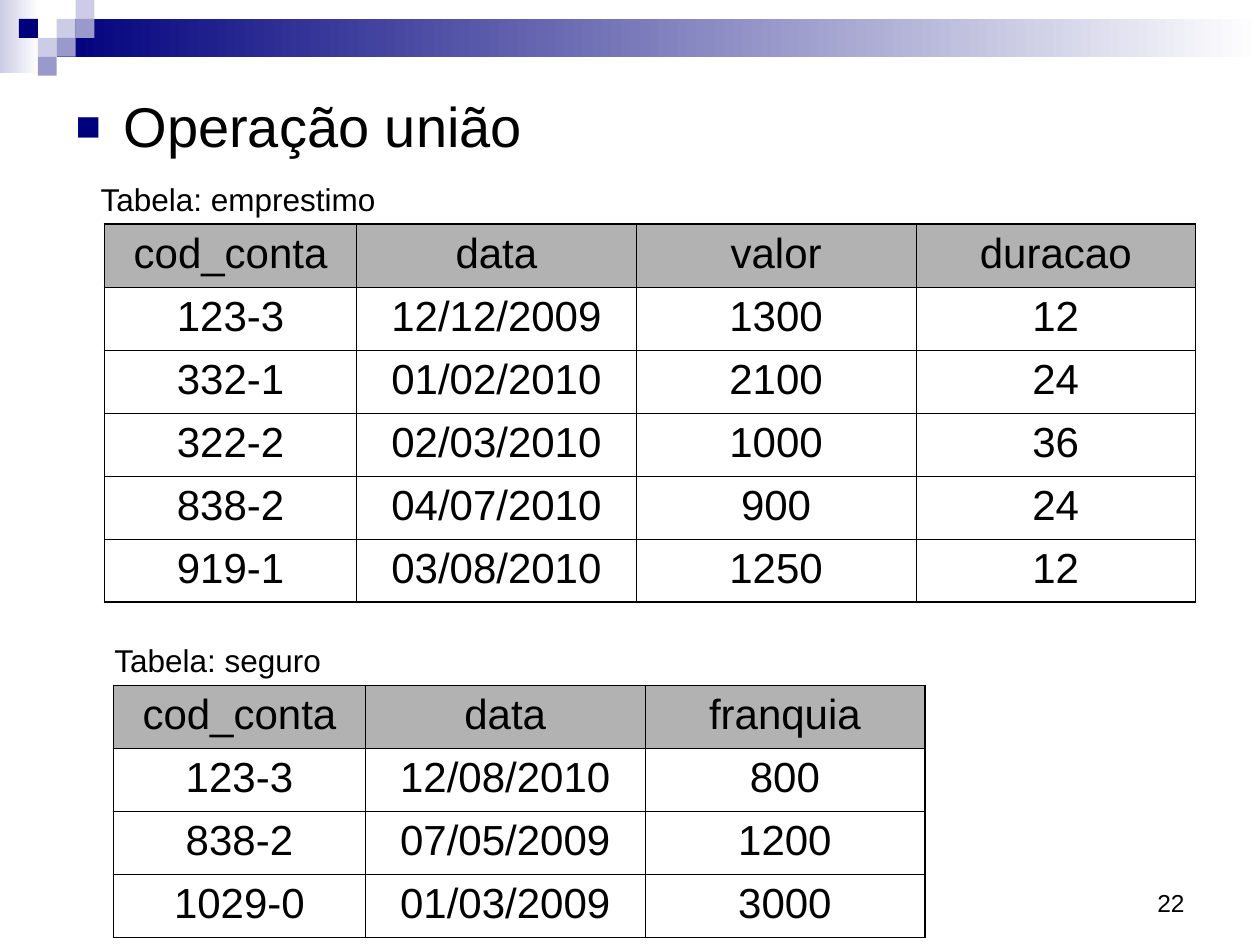
from dataclasses import dataclass

from lxml.etree import SubElement
from pptx import Presentation
from pptx.dml.color import RGBColor
from pptx.enum.shapes import MSO_SHAPE
from pptx.enum.text import MSO_ANCHOR, PP_ALIGN
from pptx.oxml import parse_xml
from pptx.oxml.ns import nsdecls, qn
from pptx.util import Inches, Pt

NAVY, LILAC, MID = "00007D", "CCCCE6", "9999CC"
WHITE, GRAY, BLACK = "FFFFFF", "B2B2B2", "000000"
STEP = 0.15
ROW = 0.5
THIN, THICK = 0.45, 1.08


@dataclass
class Box:
    left: float
    top: float
    width: float
    height: float

    def emu(self) -> list:
        return [Inches(n) for n in (self.left, self.top, self.width, self.height)]


@dataclass
class Tile:
    col: int
    row: int
    hue: str


@dataclass
class Grid:
    left: float
    top: float
    cols: list[float]
    rows: list[str]


@dataclass
class Label:
    text: str
    box: Box
    size: int
    align: PP_ALIGN = PP_ALIGN.LEFT
    anchor: MSO_ANCHOR = MSO_ANCHOR.TOP
    wrap: bool = False


def color(hue: str) -> RGBColor:
    return RGBColor.from_string(hue)


def style(para, size: int) -> None:
    for run in para.runs:
        run.font.name = "Arial"
        run.font.size = Pt(size)
        run.font.color.rgb = color(BLACK)


def draw_rect(slide, box: Box, *hues: str) -> None:
    rect = slide.shapes.add_shape(MSO_SHAPE.RECTANGLE, *box.emu())
    rect.shadow.inherit = False
    rect.line.fill.background()
    if len(hues) == 1:
        rect.fill.solid()
        rect.fill.fore_color.rgb = color(hues[0])
        return
    rect.fill.gradient()
    rect.fill.gradient_angle = 0
    for spot, (stop, hue) in enumerate(zip(rect.fill.gradient_stops, hues)):
        stop.position = spot
        stop.color.rgb = color(hue)


def draw_label(slide, label: Label) -> None:
    frame = slide.shapes.add_textbox(*label.box.emu()).text_frame
    frame.word_wrap = label.wrap
    frame.vertical_anchor = label.anchor
    frame.text = label.text
    para = frame.paragraphs[0]
    para.alignment = label.align
    style(para, label.size)


def draw_edges(cell, outer: dict[str, bool]) -> None:
    props = cell._tc.get_or_add_tcPr()
    for spot, (side, edge) in enumerate(outer.items()):
        width = Pt(THICK if edge else THIN)
        line = parse_xml(
            f'<a:ln{side} {nsdecls("a")} w="{width}"><a:solidFill>'
            f'<a:srgbClr val="{BLACK}"/></a:solidFill></a:ln{side}>'
        )
        props.insert(spot, line)


def draw_grid(slide, grid: Grid) -> None:
    rows, cols = len(grid.rows), len(grid.cols)
    box = Box(grid.left, grid.top, sum(grid.cols), rows * ROW)
    table = slide.shapes.add_table(rows, cols, *box.emu()).table
    table.first_row = table.horz_banding = False
    for col, width in zip(table.columns, grid.cols):
        col.width = Inches(width)
    for r, line in enumerate(grid.rows):
        table.rows[r].height = Inches(ROW)
        for c, text in enumerate(line.split()):
            cell = table.cell(r, c)
            cell.text_frame.text = text
            para = cell.text_frame.paragraphs[0]
            para.alignment = PP_ALIGN.CENTER
            para.space_before = Pt(6)
            style(para, 24)
            if r == 0:
                cell.fill.solid()
                cell.fill.fore_color.rgb = color(GRAY)
            else:
                cell.fill.background()
            draw_edges(cell, {"L": c == 0, "R": c == cols - 1,
                              "T": r == 0, "B": r == rows - 1})


def draw_body(slide, text: str, box: Box) -> None:
    body = slide.placeholders[1]
    body.left, body.top, body.width, body.height = box.emu()
    body.text_frame.text = text
    para = body.text_frame.paragraphs[0]
    para.space_before = Pt(8)
    style(para, 32)
    props = para._p.get_or_add_pPr()
    props.set("marL", str(Inches(0.38)))
    props.set("indent", str(Inches(-0.38)))
    SubElement(SubElement(props, qn("a:buClr")), qn("a:srgbClr"), val=NAVY)
    SubElement(props, qn("a:buSzPct"), val="75000")
    SubElement(props, qn("a:buFont"), typeface="Arial")
    SubElement(props, qn("a:buChar"), char="■")


TILES = [
    Tile(3, 1, LILAC), Tile(4, 0, LILAC), Tile(4, 1, MID), Tile(2, 2, LILAC),
    Tile(1, 1, NAVY), Tile(3, 2, MID), Tile(2, 3, MID),
]
GRIDS = [
    Grid(0.83, 1.78, [2, 2.22, 2.22, 2.22], [
        "cod_conta data valor duracao",
        "123-3 12/12/2009 1300 12",
        "332-1 01/02/2010 2100 24",
        "322-2 02/03/2010 1000 36",
        "838-2 04/07/2010 900 24",
        "919-1 03/08/2010 1250 12",
    ]),
    Grid(0.9, 5.44, [2, 2.22, 2.22], [
        "cod_conta data franquia",
        "123-3 12/08/2010 800",
        "838-2 07/05/2009 1200",
        "1029-0 01/03/2009 3000",
    ]),
]
LABELS = [
    Label("22", Box(7.17, 6.83, 2.33, 0.5), 14, PP_ALIGN.RIGHT, MSO_ANCHOR.BOTTOM, True),
    Label("Tabela: emprestimo", Box(0.7, 1.38, 2.41, 0.4), 18),
    Label("Tabela: seguro", Box(0.81, 5.04, 1.87, 0.4), 18),
]


def main() -> None:
    deck = Presentation()
    deck.slide_width, deck.slide_height = Inches(10), Inches(7.5)
    slide = deck.slides.add_slide(deck.slide_layouts[1])
    title = slide.shapes.title.element
    title.getparent().remove(title)
    draw_body(slide, "Operação união", Box(0.5, 0.68, 9.19, 4.06))
    draw_rect(slide, Box(0, 0, 0.31, 0.58), LILAC, WHITE)
    draw_rect(slide, Box(0.45, STEP, 9.55, 2 * STEP), NAVY, WHITE)
    for tile in TILES:
        draw_rect(slide, Box(tile.col * STEP, tile.row * STEP, STEP, STEP), tile.hue)
    for grid in GRIDS:
        draw_grid(slide, grid)
    for label in LABELS:
        draw_label(slide, label)
    deck.save("out.pptx")


if __name__ == "__main__":
    main()
